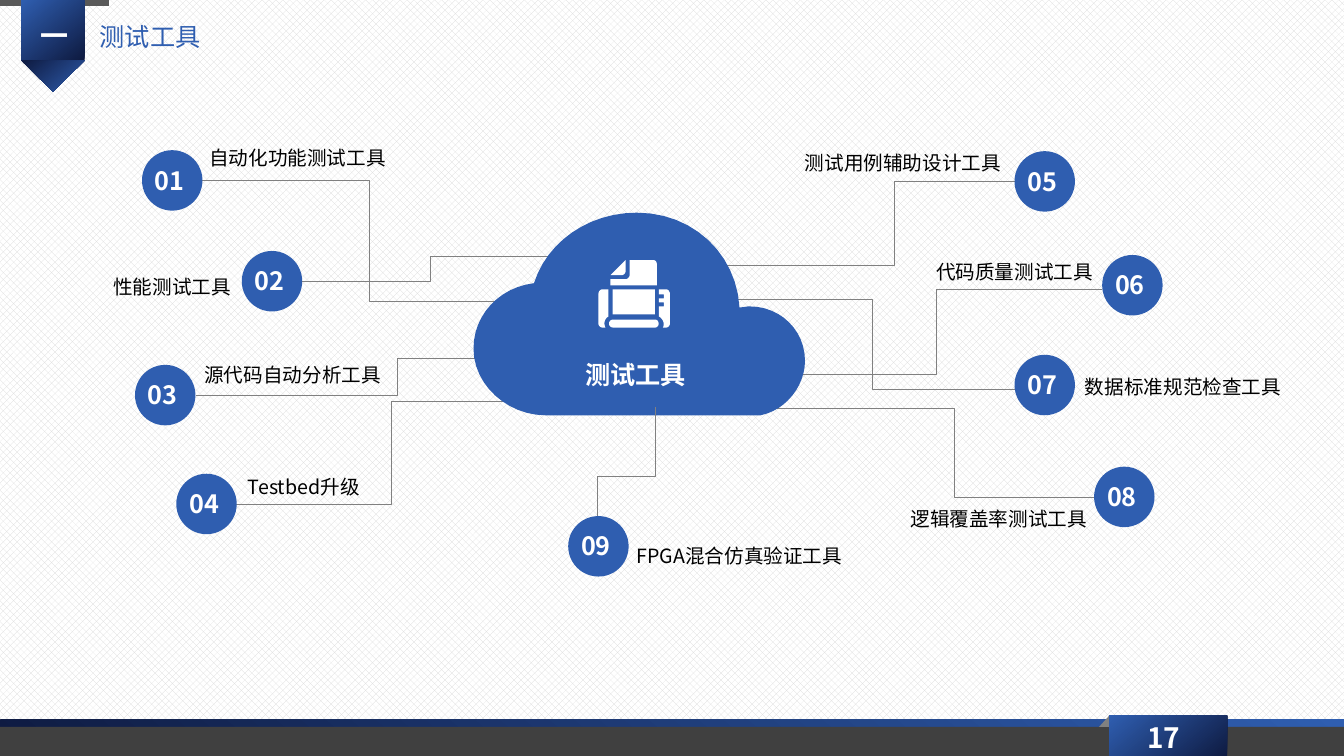
"""Build the slide of nine test tools linked to a central cloud."""
from dataclasses import dataclass
from typing import Any

from lxml import etree
from pptx import Presentation
from pptx.dml.color import RGBColor
from pptx.enum.dml import MSO_PATTERN
from pptx.enum.shapes import MSO_CONNECTOR, MSO_SHAPE
from pptx.enum.text import MSO_ANCHOR, MSO_AUTO_SIZE, PP_ALIGN
from pptx.oxml.ns import qn
from pptx.util import Cm, Length, Pt

RECT, OVAL, TRIANGLE = MSO_SHAPE.RECTANGLE, MSO_SHAPE.OVAL, MSO_SHAPE.ISOSCELES_TRIANGLE
ELBOW = MSO_CONNECTOR.ELBOW
LEFT, CENTER, RIGHT = PP_ALIGN.LEFT, PP_ALIGN.CENTER, PP_ALIGN.RIGHT
TOP, MIDDLE = MSO_ANCHOR.TOP, MSO_ANCHOR.MIDDLE
GROW, FIXED = MSO_AUTO_SIZE.SHAPE_TO_FIT_TEXT, MSO_AUTO_SIZE.NONE

FONT = "Noto Sans CJK SC"
BLUE, NAVY, WHITE, BLACK = "2F5EB0", "0E1A40", "FFFFFF", "000000"
GRAY, CHARCOAL, STRIP, WEAVE = "808080", "404040", "595959", "D9D9D9"
WIDTH, HEIGHT = 13.34, 7.5
DISC = 0.6
CURVE_STEPS = 12

Point = tuple[float, float]
Box = tuple[float, float, float, float]
Outline = list[tuple[float, ...]]


@dataclass(frozen=True)
class Tool:
    """A numbered tool, its label and its line to the cloud."""
    name: str
    disc: Point
    label: Point
    label_width: float
    align: Any
    start: Point
    end: Point
    bend: float = 0.5
    turned: bool = False


TOOLS = [
    Tool("自动化功能测试工具", (1.41, 1.49), (1.79, 1.35), 2.14, RIGHT, (2.01, 1.79), (5.33, 2.99)),
    Tool("性能测试工具", (2.4, 2.49), (0.87, 2.63), 1.68, CENTER, (2.95, 2.79), (5.6, 2.55)),
    Tool("源代码自动分析工具", (1.34, 3.62), (1.93, 3.5), 2.14, LEFT, (1.95, 3.92), (5.04, 3.56), 0.645),
    Tool("Testbed升级", (1.75, 4.7), (2.26, 4.62), 1.41, RIGHT, (2.31, 5.01), (5.46, 3.98)),
    Tool("测试用例辅助设计工具", (10.07, 1.5), (7.89, 1.4), 2.28, LEFT, (6.89, 2.63), (10.07, 1.8), 0.624),
    Tool("代码质量测试工具", (10.94, 2.53), (8.81, 2.48), 2.14, RIGHT, (7.65, 3.72), (10.94, 2.87)),
    Tool("数据标准规范检查工具", (10.07, 3.52), (10.67, 3.62), 2.39, LEFT, (6.97, 2.97), (10.35, 3.86)),
    Tool("逻辑覆盖率测试工具", (10.86, 4.63), (8.75, 4.93), 2.14, RIGHT, (7.6, 4.05), (10.98, 4.94), 0.554),
    Tool("FPGA混合仿真验证工具", (5.64, 5.12), (6.22, 5.3), 2.53, LEFT, (6.91, 5.01), (5.53, 4.44), turned=True),
]

CLOUD: Outline = [
    (5.3, 2.81), (5.43, 2.4, 5.84, 2.11, 6.32, 2.11), (6.88, 2.11, 7.31, 2.52, 7.34, 3.05),
    (7.37, 3.05, 7.41, 3.04, 7.44, 3.04), (7.75, 3.04, 7.99, 3.28, 7.99, 3.58),
    (7.99, 3.83, 7.8, 4.07, 7.55, 4.12), (5.41, 4.12), (5.04, 4.12, 4.7, 3.82, 4.7, 3.46),
    (4.7, 3.12, 4.96, 2.85, 5.3, 2.81),
]
PRINTER: list[Outline] = [
    [(5.98, 2.87), (6.04, 2.87), (6.04, 3.14), (6, 3.16, 5.99, 3.21, 6.01, 3.25), (5.98, 3.25),
     (5.96, 3.25, 5.94, 3.23, 5.94, 3.21), (5.94, 2.92), (5.94, 2.89, 5.96, 2.87, 5.98, 2.87)],
    [(6.09, 3.17), (6.5, 3.17), (6.55, 3.17, 6.55, 3.25, 6.5, 3.25), (6.09, 3.25),
     (6.03, 3.25, 6.03, 3.17, 6.09, 3.17)],
    [(6.54, 3.14), (6.54, 3.04), (6.59, 3.04), (6.59, 3), (6.54, 3), (6.54, 2.96), (6.59, 2.96),
     (6.59, 2.92), (6.54, 2.92), (6.54, 2.87), (6.61, 2.87), (6.63, 2.87, 6.65, 2.89, 6.65, 2.92),
     (6.65, 3.21), (6.65, 3.23, 6.63, 3.25, 6.61, 3.25), (6.58, 3.25),
     (6.6, 3.21, 6.58, 3.16, 6.54, 3.14)],
    [(6.06, 2.73), (6.21, 2.58), (6.21, 2.69), (6.21, 2.71, 6.19, 2.73, 6.17, 2.73)],
    [(6.06, 2.77), (6.21, 2.77), (6.23, 2.77, 6.25, 2.75, 6.25, 2.73), (6.25, 2.58), (6.48, 2.58),
     (6.51, 2.58, 6.52, 2.6, 6.52, 2.62), (6.52, 2.83), (6.06, 2.83)],
]
TAB_FOLD: Outline = [(11.01, 7.1), (12.01, 7.1), (12.02, 7.22), (10.91, 7.21)]

LABEL = {"size": Pt(14), "bold": False}
HEADING = {"size": Pt(18), "bold": False}
STRONG = {"size": Pt(18), "bold": True}
BADGE = {"size": Pt(20), "bold": True}


def inch(value: float) -> Length:
    """Convert layout inches to a length."""
    return Cm(value * 2.54)


def rgb(color: str) -> RGBColor:
    """Read a hex colour."""
    return RGBColor.from_string(color)


def apply(target: Any, values: dict[str, Any]) -> None:
    """Set each named attribute on the target."""
    for key, value in values.items():
        setattr(target, key, value)


def paint(shape: Any, color: str) -> None:
    """Give a shape a flat fill without line or shadow."""
    shape.shadow.inherit = False
    shape.line.fill.background()
    shape.fill.solid()
    shape.fill.fore_color.rgb = rgb(color)


def add_block(shapes: Any, kind: Any, box: Box, color: str) -> Any:
    """Add a plain preset shape."""
    block = shapes.add_shape(kind, *map(inch, box))
    paint(block, color)
    return block


def add_gradient(shapes: Any, kind: Any, box: Box, angle: int = 130) -> Any:
    """Add a preset shape shaded from navy to blue."""
    block = add_block(shapes, kind, box, BLUE)
    block.fill.gradient()
    block.fill.gradient_angle = angle
    for stop, color, position in zip(block.fill.gradient_stops, (NAVY, BLUE), (0, 1)):
        stop.color.rgb = rgb(color)
        stop.position = position
    return block


def add_outline(shapes: Any, outline: Outline, color: str) -> None:
    """Add a closed shape of points and cubic curves."""
    points: list[Point] = [(outline[0][0], outline[0][1])]
    for step in outline[1:]:
        if len(step) == 2:
            points.append((step[0], step[1]))
            continue
        nodes = [points[-1], step[0:2], step[2:4], step[4:6]]
        for t in (i / CURVE_STEPS for i in range(1, CURVE_STEPS + 1)):
            weights = ((1 - t) ** 3, 3 * t * (1 - t) ** 2, 3 * t * t * (1 - t), t ** 3)
            x, y = (sum(w * node[axis] for w, node in zip(weights, nodes)) for axis in (0, 1))
            points.append((x, y))
    first, *rest = [(inch(x), inch(y)) for x, y in points]
    builder = shapes.build_freeform(*first)
    builder.add_line_segments(rest, close=True)
    paint(builder.convert_to_shape(), color)


def add_text(shapes: Any, text: str, box: Box, style: dict[str, Any], color: str, align: Any = LEFT,
             anchor: Any = TOP, spacing: float = 1.0, insets: Point = (0.1, 0.05)) -> None:
    """Add a one-paragraph text box."""
    frame = shapes.add_textbox(*map(inch, box)).text_frame
    side, edge = map(inch, insets)
    apply(frame, {"word_wrap": True, "vertical_anchor": anchor,
                  "auto_size": GROW if anchor == TOP else FIXED,
                  "margin_left": side, "margin_right": side,
                  "margin_top": edge, "margin_bottom": edge})
    paragraph = frame.paragraphs[0]
    apply(paragraph, {"alignment": align, "line_spacing": spacing})
    run = paragraph.add_run()
    run.text = text
    apply(run.font, {"name": FONT, **style})
    run.font.color.rgb = rgb(color)
    etree.SubElement(run.font._element, qn("a:ea"), typeface=FONT)


def add_link(shapes: Any, tool: Tool) -> None:
    """Add the bent line between a tool and the cloud."""
    link = shapes.add_connector(ELBOW, *map(inch, tool.start + tool.end))
    link.line.color.rgb = rgb(GRAY)
    link.line.width = Pt(0.75)
    properties = link._element.spPr
    etree.SubElement(properties, qn("a:effectLst"))
    guides = properties.find(qn("a:prstGeom")).find(qn("a:avLst"))
    etree.SubElement(guides, qn("a:gd"), name="adj1", fmla=f"val {round(tool.bend * 100000)}")
    if tool.turned:
        properties.find(qn("a:xfrm")).set("rot", "5400000")


def add_tool(shapes: Any, number: int, tool: Tool) -> None:
    """Add the numbered disc and label of a tool."""
    x, y = tool.disc
    add_block(shapes, OVAL, (x, y, DISC, DISC), BLUE)
    add_text(shapes, f"{number:02d}", (x + 0.03, y + 0.1, 0.57, 0.39), STRONG, WHITE, anchor=MIDDLE)
    add_text(shapes, tool.name, (*tool.label, tool.label_width, 0.36), LABEL, BLACK, tool.align, spacing=1.2)


def add_frame(shapes: Any) -> None:
    """Add the heading badge and the footer."""
    add_gradient(shapes, RECT, (0, 7.14, WIDTH, 0.39), 50)
    add_block(shapes, RECT, (0, 7.21, WIDTH, 0.32), CHARCOAL)
    add_outline(shapes, TAB_FOLD, GRAY)
    add_gradient(shapes, RECT, (11.01, 7.1, 1.17, 0.43))
    add_text(shapes, "17", (10.92, 7.1, 1.26, 0.43), BADGE, WHITE, CENTER, MIDDLE)
    add_block(shapes, RECT, (0, 0, 1.08, 0.06), STRIP)
    add_gradient(shapes, RECT, (0.21, 0, 0.63, 0.6))
    add_gradient(shapes, TRIANGLE, (0.21, 0.6, 0.63, 0.31)).rotation = 180
    add_text(shapes, "测试工具", (0.92, 0.17, 6.14, 0.38), HEADING, BLUE, insets=(0.07, 0.04))
    add_text(shapes, "一", (0, 0.14, 1.08, 0.43), BADGE, WHITE, CENTER, MIDDLE)


def add_cloud(shapes: Any) -> None:
    """Add the cloud with its printer icon and caption."""
    add_outline(shapes, CLOUD, BLUE)
    add_text(shapes, "测试工具", (5.17, 3.52, 2.28, 0.4), STRONG, WHITE, CENTER)
    for part in PRINTER:
        add_outline(shapes, part, WHITE)
    add_block(shapes, RECT, (6.08, 2.87, 0.42, 0.25), WHITE)


def main() -> None:
    """Build and save the slide."""
    deck = Presentation()
    apply(deck, {"slide_width": inch(WIDTH), "slide_height": inch(HEIGHT)})
    slide = deck.slides.add_slide(deck.slide_layouts[6])
    backdrop = slide.background.fill
    backdrop.patterned()
    backdrop.pattern = MSO_PATTERN.PERCENT_50
    backdrop.fore_color.rgb = rgb(WEAVE)
    backdrop.back_color.rgb = rgb(WHITE)
    *side_tools, bottom_tool = TOOLS
    add_frame(slide.shapes)
    for tool in side_tools:
        add_link(slide.shapes, tool)
    add_cloud(slide.shapes)
    add_link(slide.shapes, bottom_tool)
    for number, tool in enumerate(TOOLS, start=1):
        add_tool(slide.shapes, number, tool)
    deck.save("out.pptx")


if __name__ == "__main__":
    main()
